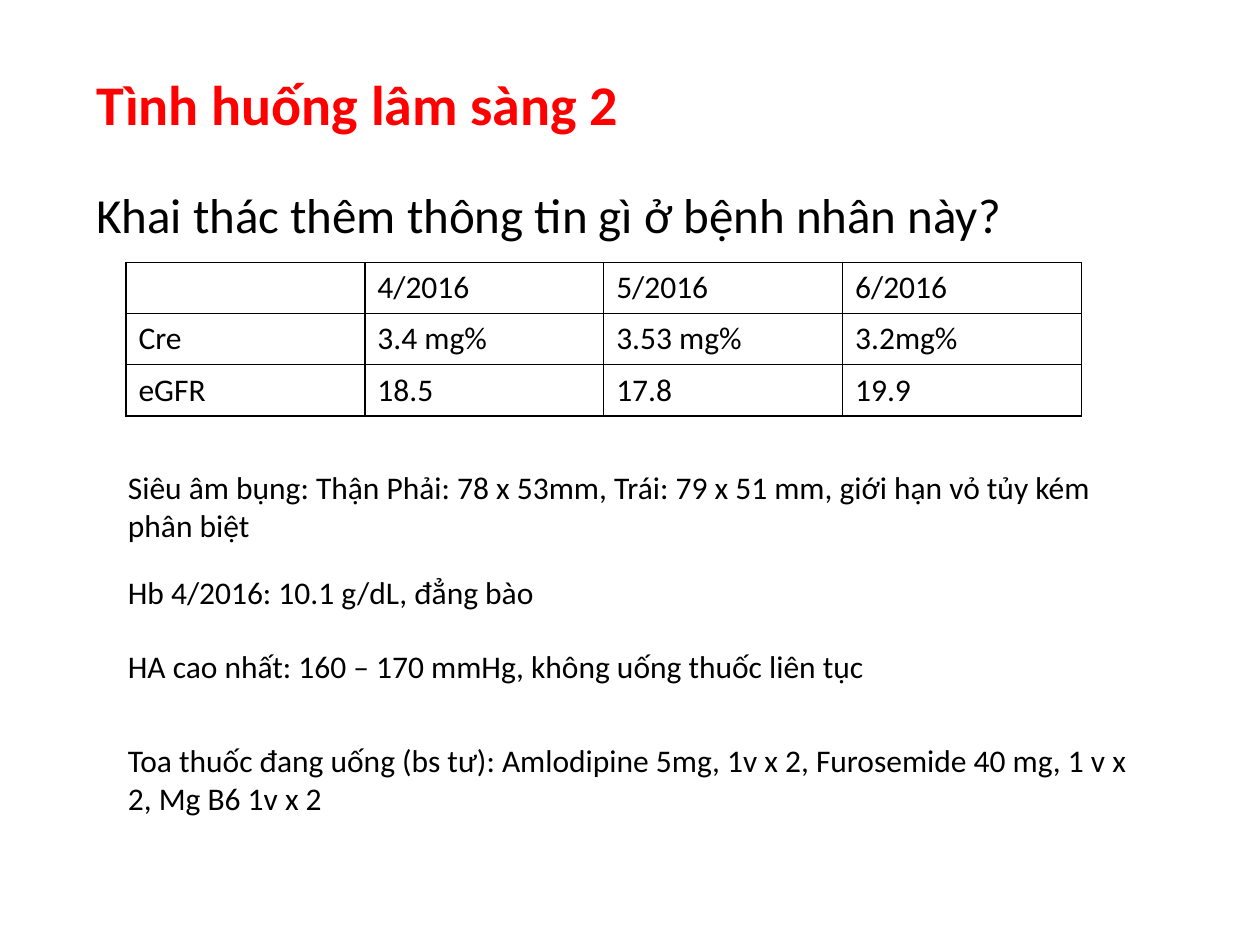
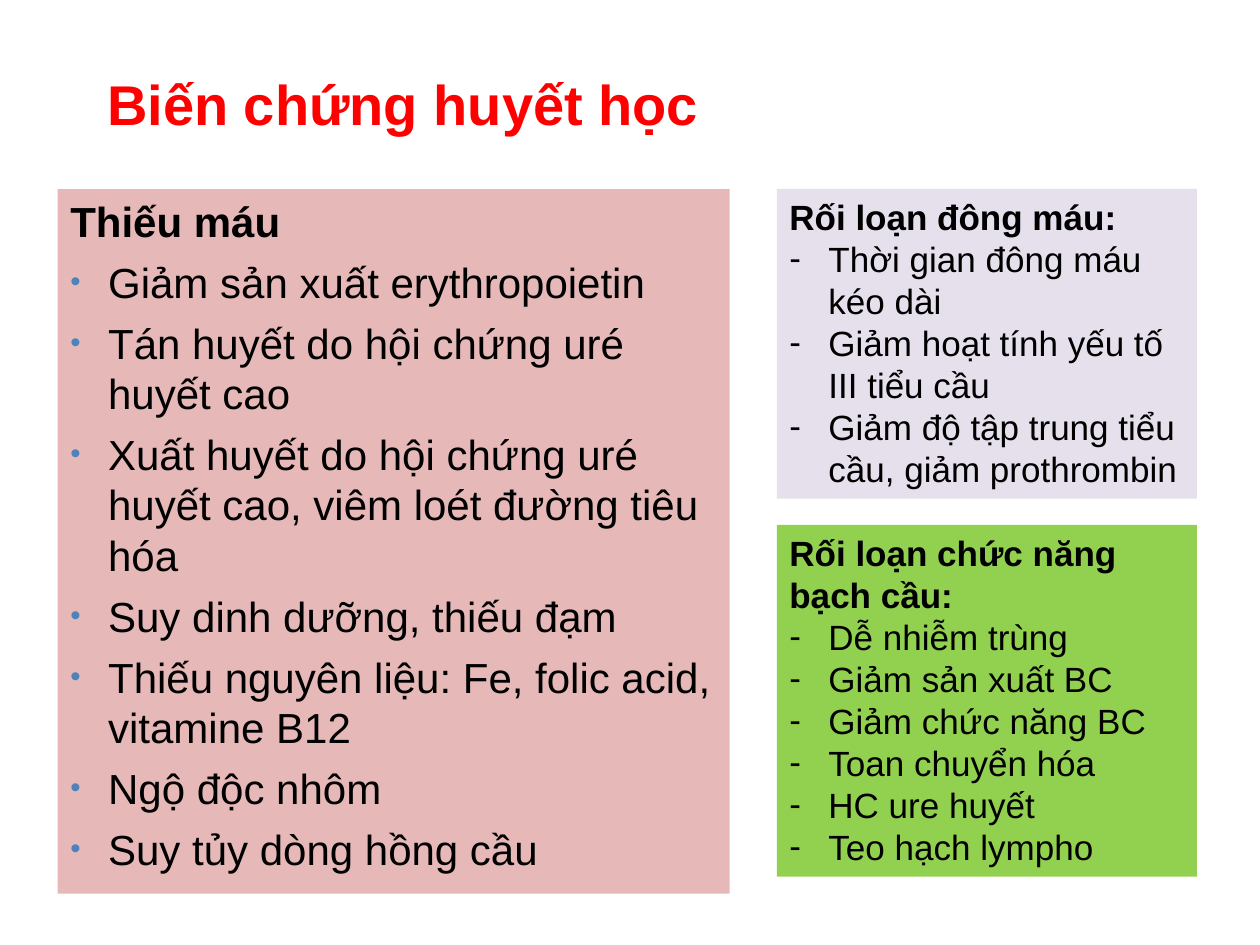
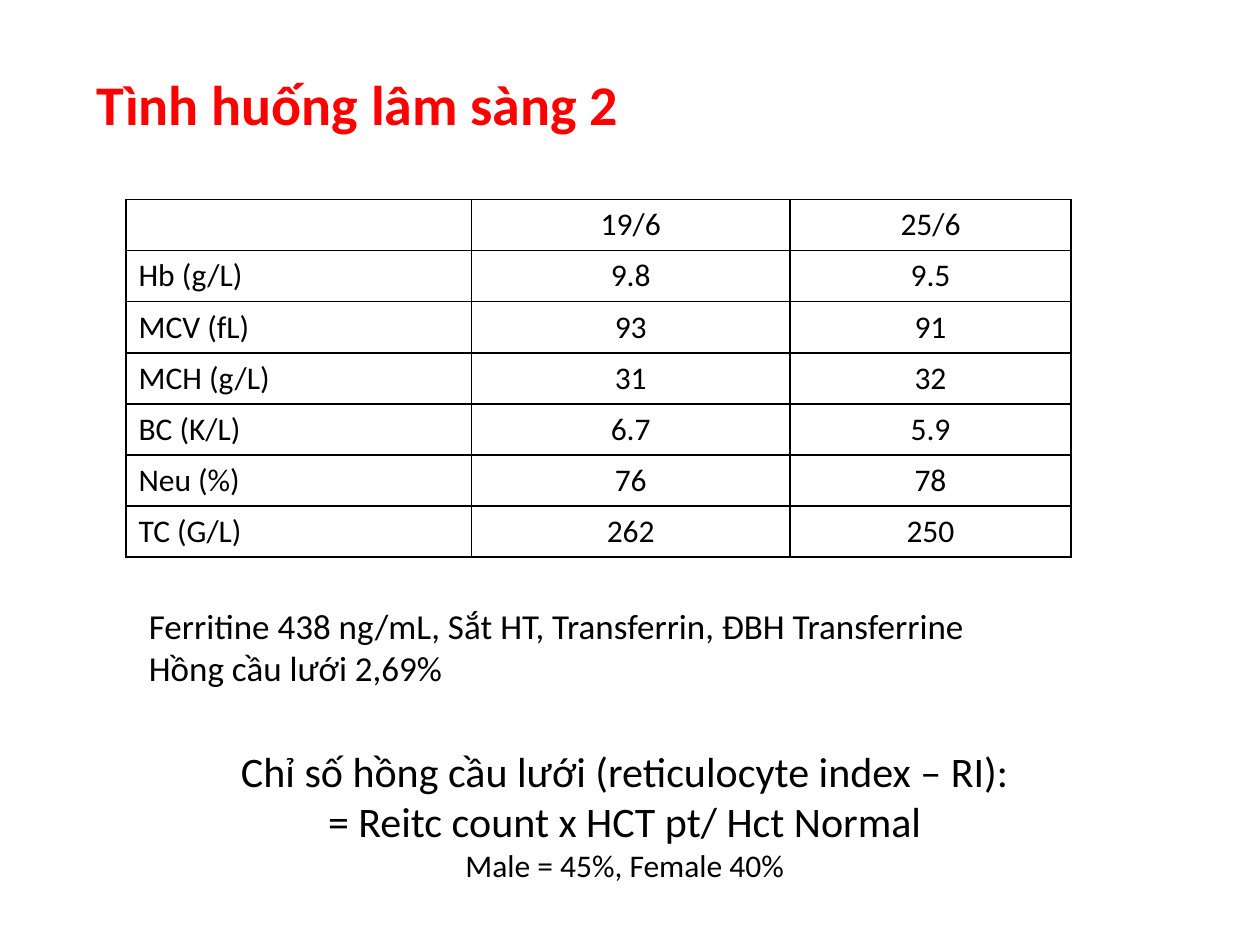
from lxml import etree
from pptx import Presentation
from pptx.dml.color import RGBColor
from pptx.enum.text import MSO_ANCHOR, MSO_AUTO_SIZE, PP_ALIGN
from pptx.oxml.ns import qn
from pptx.util import Inches, Pt

LEFT, CENTER = PP_ALIGN.LEFT, PP_ALIGN.CENTER
TOP = MSO_ANCHOR.TOP
FIXED, GROW = MSO_AUTO_SIZE.NONE, MSO_AUTO_SIZE.SHAPE_TO_FIT_TEXT
TITLE_ONLY, TITLE_AND_BODY = 5, 1
COLS, ROWS = 120, 90
TABLE_ROW = 4.87


def rgb(value):
    return RGBColor.from_string(value)


def add(parent, tag, **attrs):
    return etree.SubElement(parent, qn(tag), attrs)


class Deck:
    red, black = "FF0000", "000000"
    pink, lilac, green, blue = "E6B9B8", "E6E0EC", "92D050", "4F81BD"

    def __init__(self):
        self.prs = Presentation()
        self.prs.slide_width, self.prs.slide_height = Inches(10), Inches(7.5)
        self.font = "Calibri"
        self.s = None

    def box(self, col, row, cols, rows):
        dx, dy = self.prs.slide_width / COLS, self.prs.slide_height / ROWS
        return round(col * dx), round(row * dy), round(cols * dx), round(rows * dy)

    def place(self, sp, box):
        sp.left, sp.top, sp.width, sp.height = self.box(*box)

    def style(self, p, size, color=black, bold=False, align=LEFT):
        p.alignment = align
        p.font.name, p.font.size, p.font.bold = self.font, Pt(size), bold
        p.font.color.rgb = rgb(color)

    def frame(self, sp, auto_size=GROW):
        tf = sp.text_frame
        tf.word_wrap, tf.auto_size, tf.vertical_anchor = True, auto_size, TOP
        return tf

    def paragraphs(self, tf, lines):
        for i, line in enumerate(lines):
            p = tf.paragraphs[0] if i == 0 else tf.add_paragraph()
            p.text = line
            yield i, p

    def slide(self, title, layout=TITLE_ONLY, font="Calibri", col=8, cols=97):
        self.font = font
        self.s = self.prs.slides.add_slide(self.prs.slide_layouts[layout])
        sp = self.s.shapes.title
        self.place(sp, (col, 6, cols, 7.7))
        for _, p in self.paragraphs(self.frame(sp), [title]):
            self.style(p, 32, self.red, True)

    def text(self, box, lines, sizes, align=LEFT):
        tf = self.frame(self.s.shapes.add_textbox(*self.box(*box)))
        for i, p in self.paragraphs(tf, lines):
            self.style(p, sizes[i], align=align)

    def bullet(self, p, char, indent, color, percent):
        pPr = p._p.get_or_add_pPr()
        pPr.set("marL", str(Inches(indent)))
        pPr.set("indent", str(-Inches(indent)))
        add(add(pPr, "a:buClr"), "a:srgbClr", val=color)
        add(pPr, "a:buSzPct", val=str(percent * 1000))
        add(pPr, "a:buFont", typeface=self.font)
        add(pPr, "a:buChar", char=char)

    def no_bullet(self, p):
        pPr = p._p.get_or_add_pPr()
        pPr.set("marL", "0")
        pPr.set("indent", "0")
        add(pPr, "a:buNone")

    def fill_list(self, sp, fill, lines, size, marker, gap=0, auto_size=GROW):
        sp.fill.solid()
        sp.fill.fore_color.rgb = rgb(fill)
        for i, p in self.paragraphs(self.frame(sp, auto_size), lines):
            if i:
                self.bullet(p, *marker)
            else:
                self.no_bullet(p)
            p.space_before = Pt(gap if i else 0)
            self.style(p, size, bold=i == 0)

    def body(self, box, fill, lines):
        sp = self.s.placeholders[1]
        self.place(sp, box)
        self.fill_list(sp, fill, lines, 24, ("•", 0.3, self.blue, 70), 6, FIXED)

    def panel(self, box, fill, lines):
        sp = self.s.shapes.add_textbox(*self.box(*box))
        self.fill_list(sp, fill, lines, 20, ("-", 0.31, self.black, 100))

    def borders(self, cell):
        tcPr = cell._tc.get_or_add_tcPr()
        for side in ("a:lnL", "a:lnR", "a:lnT", "a:lnB"):
            ln = add(tcPr, side, w=str(Pt(1)))
            add(add(ln, "a:solidFill"), "a:srgbClr", val=self.black)

    def table(self, col, row, widths, rows, align=LEFT):
        box = self.box(col, row, sum(widths), TABLE_ROW * len(rows))
        tbl = self.s.shapes.add_table(len(rows), len(widths), *box).table
        tbl.first_row = tbl.horz_banding = False
        for column, width in zip(tbl.columns, widths):
            column.width = self.box(0, 0, width, 0)[2]
        for r, values in enumerate(rows):
            for c, value in enumerate(values):
                cell = tbl.cell(r, c)
                cell.text = value
                self.borders(cell)
                cell.fill.background()
                self.style(cell.text_frame.paragraphs[0], 18, align=align if c else LEFT)


def main():
    d = Deck()

    d.slide("Tình huống lâm sàng 2")
    d.text((8, 17, 104, 6.9), ["Khai thác thêm thông tin gì ở bệnh nhân này?"], [28])
    d.table(12, 25, [22.75] * 4, [
        ("", "4/2016", "5/2016", "6/2016"),
        ("Cre", "3.4 mg%", "3.53 mg%", "3.2mg%"),
        ("eGFR", "18.5", "17.8", "19.9"),
    ])
    for row, cols, rows, finding in (
        (44, 100, 8.5, "Siêu âm bụng: Thận Phải: 78 x 53mm, Trái: 79 x 51 mm, giới hạn vỏ tủy kém phân biệt"),
        (54, 88, 4.8, "Hb 4/2016: 10.1 g/dL, đẳng bào"),
        (61, 97, 4.8, "HA cao nhất: 160 – 170 mmHg, không uống thuốc liên tục"),
        (70, 100, 8.5, "Toa thuốc đang uống (bs tư): Amlodipine 5mg, 1v x 2, Furosemide 40 mg, 1 v x 2, Mg B6 1v x 2"),
    ):
        d.text((11, row, cols, rows), [finding], [18])

    d.slide("Biến chứng huyết học", TITLE_AND_BODY, "Arial", 9, 78)
    d.body((5.5, 18, 64, 67.1), d.pink, [
        "Thiếu máu",
        "Giảm sản xuất erythropoietin",
        "Tán huyết do hội chứng uré huyết cao",
        "Xuất huyết do hội chứng uré huyết cao, viêm loét đường tiêu hóa",
        "Suy dinh dưỡng, thiếu đạm",
        "Thiếu nguyên liệu: Fe, folic acid, vitamine B12",
        "Ngộ độc nhôm",
        "Suy tủy dòng hồng cầu",
    ])
    d.panel((74, 18, 40, 29.5), d.lilac, [
        "Rối loạn đông máu:",
        "Thời gian đông máu kéo dài",
        "Giảm hoạt tính yếu tố III tiểu cầu",
        "Giảm độ tập trung tiểu cầu, giảm prothrombin",
    ])
    d.panel((74, 50, 40, 33.5), d.green, [
        "Rối loạn chức năng bạch cầu:",
        "Dễ nhiễm trùng",
        "Giảm sản xuất BC",
        "Giảm chức năng BC",
        "Toan chuyển hóa",
        "HC ure huyết",
        "Teo hạch lympho",
    ])

    d.slide("Tình huống lâm sàng 2")
    d.table(12, 19, [32.9, 30.35, 26.75], [
        ("", "19/6", "25/6"),
        ("Hb (g/L)", "9.8", "9.5"),
        ("MCV (fL)", "93", "91"),
        ("MCH (g/L)", "31", "32"),
        ("BC (K/L)", "6.7", "5.9"),
        ("Neu (%)", "76", "78"),
        ("TC (G/L)", "262", "250"),
    ], CENTER)
    d.text((13, 57, 89, 9.3), [
        "Ferritine 438 ng/mL, Sắt HT, Transferrin, ĐBH Transferrine",
        "Hồng cầu lưới 2,69%",
    ], [20, 20])
    d.text((10, 70.4, 99, 14.5), [
        "Chỉ số hồng cầu lưới (reticulocyte index – RI):",
        "= Reitc count x HCT pt/ Hct Normal",
        "Male = 45%, Female 40%",
    ], [24, 24, 18], CENTER)

    d.prs.save("out.pptx")


if __name__ == "__main__":
    main()
